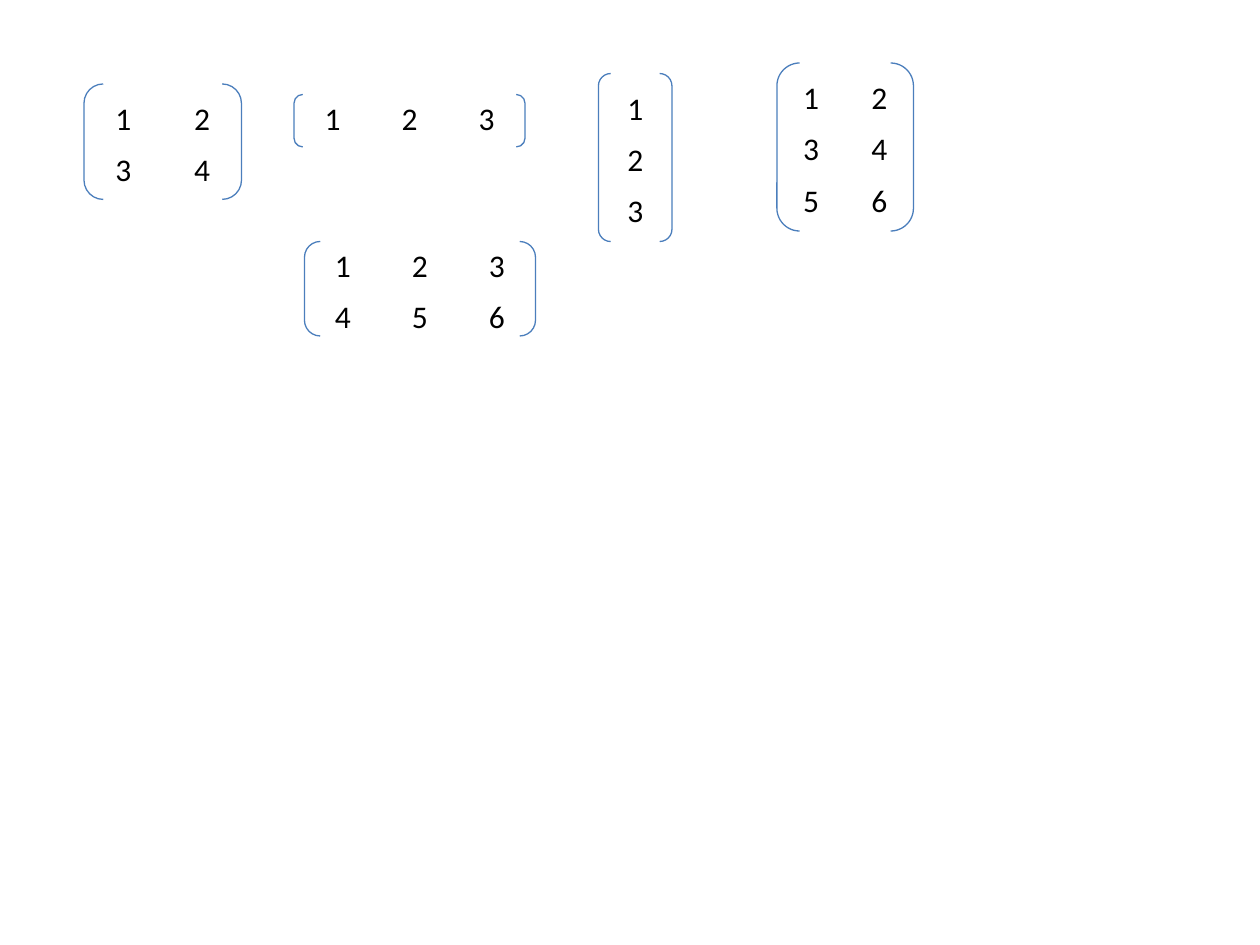
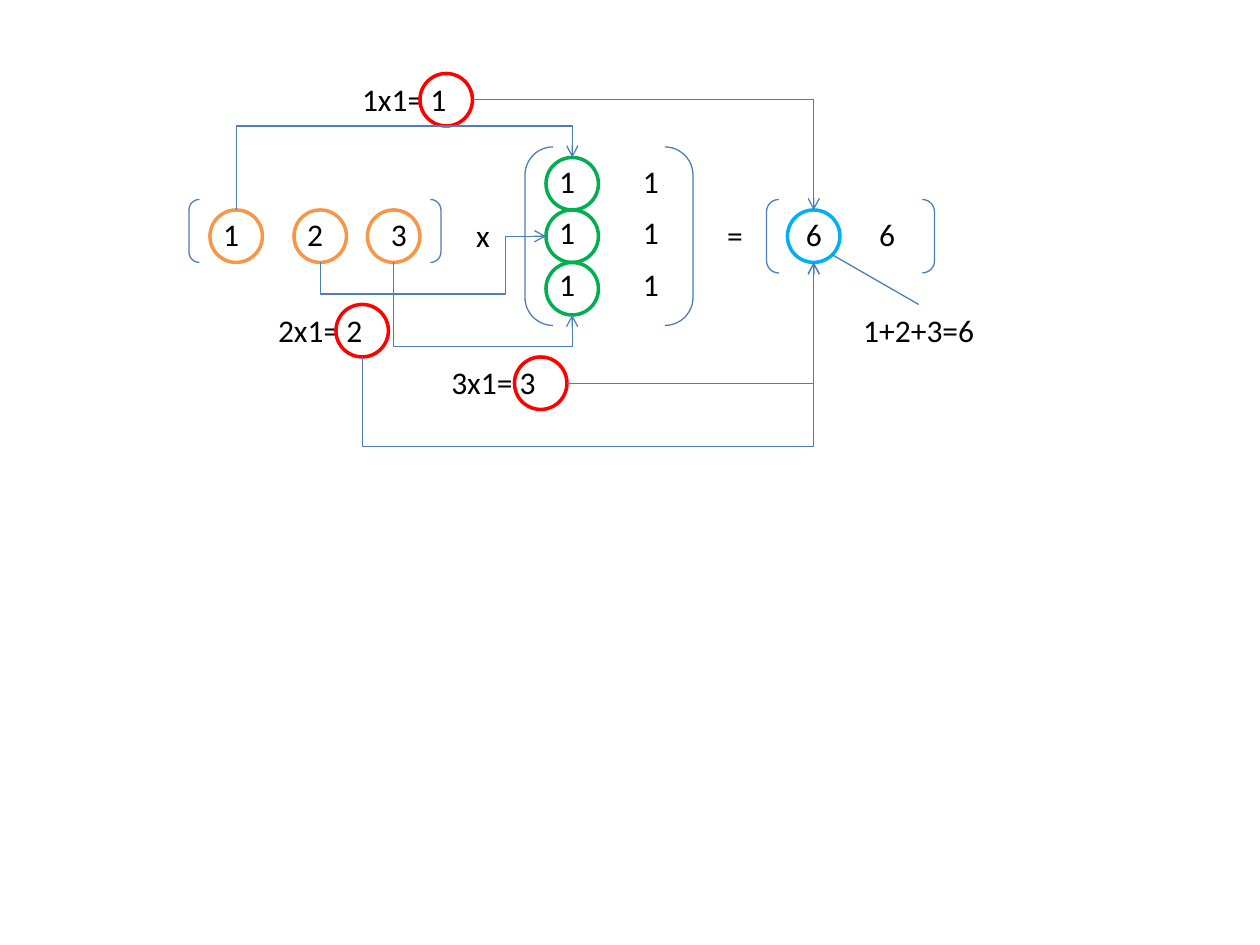
"""Build two slides that show matrices and the steps of a matrix product."""
import math
from dataclasses import dataclass
from typing import NamedTuple

import pptx
import pptx.dml.color
import pptx.enum.shapes
import pptx.enum.text
import pptx.oxml
import pptx.oxml.ns
import pptx.util

qn = pptx.oxml.ns.qn
SHAPES = pptx.enum.shapes.MSO_SHAPE
CONNECTORS = pptx.enum.shapes.MSO_CONNECTOR


@dataclass(frozen=True)
class Theme:
    font: str = "Calibri"
    text: str = "000000"
    line: str = "4B7EBC"
    factor_row: str = "F79646"
    factor_column: str = "00B050"
    product: str = "FF0000"
    total: str = "00B0F0"
    text_size: float = 18
    thin: float = 0.75
    thick: float = 2
    no_style: str = "{2D5ABB26-0587-4C30-8999-92F81FD0307C}"


class Box(NamedTuple):
    left: float
    top: float
    width: float
    height: float


class Matrix(NamedTuple):
    rows: tuple[str, ...]
    left: float
    top: float
    width: float
    bracket: Box


class Label(NamedTuple):
    text: str
    box: Box


class Ring(NamedTuple):
    name: str
    left: float
    top: float
    color: str


class Elbow(NamedTuple):
    start: str
    start_site: int
    end: str
    end_site: int
    preset: str
    rotation: int = 0
    flips: str = ""
    adjustments: tuple[float, ...] = ()


THEME = Theme()
ROW_HEIGHT = pptx.util.Cm(1.03)
RING_SIZE = 5
TOP, LEFT, BOTTOM, BOTTOM_RIGHT, RIGHT = 0, 2, 4, 5, 6

EXAMPLES = (
    Matrix(("12", "34"), 8, 9, 15, Box(8, 8, 15, 11)),
    Matrix(("123",), 28, 9, 22, Box(28, 9, 22, 5)),
    Matrix(("1", "2", "3"), 57, 8, 7, Box(57, 7, 7, 16)),
    Matrix(("123", "456"), 29, 23, 22, Box(29, 23, 22, 9)),
    Matrix(("12", "34", "56"), 74, 7, 13, Box(74, 6, 13, 16)),
)
PRODUCT = (
    Matrix(("11", "11", "11"), 50, 15, 16, Box(50, 14, 16, 17)),
    Matrix(("123",), 18, 20, 24, Box(18, 19, 24, 6)),
    Matrix(("66",), 74, 20, 14, Box(73, 19, 16, 7)),
)
LABELS = (
    Label("x", Box(43, 20, 6, 5)),
    Label("=", Box(67, 20, 6, 5)),
    Label("1x1= 1", Box(33, 7, 11, 4.8)),
    Label("2x1= 2", Box(25, 29, 11, 4.8)),
    Label("3x1= 3", Box(41, 34, 12, 5)),
)
SUM_LABEL = Label("1+2+3=6", Box(78, 29, 19, 4.8))
RINGS = (
    Ring("row 1", 20, 20, THEME.factor_row),
    Ring("row 2", 28, 20, THEME.factor_row),
    Ring("row 3", 35, 20, THEME.factor_row),
    *(Ring(f"column {i + 1}", 52, 15 + RING_SIZE * i, THEME.factor_column)
      for i in range(3)),
    Ring("product 1", 40, 7, THEME.product),
    Ring("product 2", 32, 29, THEME.product),
    Ring("product 3", 49, 34, THEME.product),
    Ring("total", 75, 20, THEME.total),
)
ELBOWS = (
    Elbow("row 2", BOTTOM, "column 2", LEFT, "bentConnector4", 90, "hv", (-1.2, 0.82)),
    Elbow("row 3", BOTTOM, "column 3", BOTTOM, "bentConnector3", 270, "h", (1.6,)),
    Elbow("row 1", TOP, "column 1", TOP, "bentConnector3", 90, "hv", (1.6,)),
    Elbow("product 1", RIGHT, "total", TOP, "bentConnector2"),
    Elbow("product 3", RIGHT, "total", BOTTOM, "bentConnector2", 0, "v"),
    Elbow("product 2", BOTTOM, "total", BOTTOM, "bentConnector3", 90, "hv", (-0.95,)),
)


def grid(n: float) -> int:
    """Return the length of n grid steps, twelve to the inch."""
    return pptx.util.Cm(n * 2.54 / 12)


def rgb(color: str) -> pptx.dml.color.RGBColor:
    """Return a colour object."""
    return pptx.dml.color.RGBColor.from_string(color)


def write(tf, text: str) -> None:
    """Put centred text in a text frame."""
    tf.text = text
    p = tf.paragraphs[0]
    p.alignment = pptx.enum.text.PP_ALIGN.CENTER
    for r in p.runs:
        r.font.name = THEME.font
        r.font.size = pptx.util.Pt(THEME.text_size)
        r.font.color.rgb = rgb(THEME.text)


def draw_outline(s, preset, box: Box, color: str, width: float):
    """Draw an unfilled preset shape."""
    sp = s.shapes.add_shape(preset, *map(grid, box))
    sp.shadow.inherit = False
    sp.fill.background()
    sp.line.color.rgb = rgb(color)
    sp.line.width = pptx.util.Pt(width)
    return sp


def draw_matrix(s, matrix: Matrix) -> None:
    """Draw a table of digits inside a pair of brackets."""
    rows, columns = len(matrix.rows), len(matrix.rows[0])
    frame = s.shapes.add_table(rows, columns, grid(matrix.left), grid(matrix.top),
                               grid(matrix.width), ROW_HEIGHT * rows)
    table = frame.table
    table.first_row = table.horz_banding = False
    next(frame.element.iter(qn("a:tableStyleId"))).text = THEME.no_style
    for i, digits in enumerate(matrix.rows):
        for j, digit in enumerate(digits):
            cell = table.cell(i, j)
            cell.fill.background()
            write(cell.text_frame, digit)
    draw_outline(s, SHAPES.DOUBLE_BRACKET, matrix.bracket, THEME.line, THEME.thin)


def draw_label(s, label: Label):
    """Draw a text box."""
    sp = s.shapes.add_textbox(*map(grid, label.box))
    tf = sp.text_frame
    tf.word_wrap = True
    tf.auto_size = pptx.enum.text.MSO_AUTO_SIZE.SHAPE_TO_FIT_TEXT
    write(tf, label.text)
    return sp


def draw_ring(s, ring: Ring):
    """Draw a circle around a digit."""
    box = Box(ring.left, ring.top, RING_SIZE, RING_SIZE)
    return draw_outline(s, SHAPES.OVAL, box, ring.color, THEME.thick)


def site_point(sp, site: int) -> tuple[int, int]:
    """Return a connection site of a circle, counted anticlockwise from the top."""
    angle, radius = math.radians(45 * site), sp.width / 2
    return (round(sp.left + radius * (1 - math.sin(angle))),
            round(sp.top + radius * (1 - math.cos(angle))))


def glue(c, tag: str, sp, site: int) -> None:
    """Join a connector end to a circle."""
    end = pptx.oxml.parse_xml(
        f'<a:{tag} {pptx.oxml.ns.nsdecls("a")} id="{sp.shape_id}" idx="{site}"/>')
    next(c.element.iter(qn("p:cNvCxnSpPr"))).append(end)


def draw_connector(s, kind, start: tuple[int, int], end: tuple[int, int]):
    """Draw a thin connector without a shadow."""
    c = s.shapes.add_connector(kind, *start, *end)
    c.line.color.rgb = rgb(THEME.line)
    c.line.width = pptx.util.Pt(THEME.thin)
    c.element.spPr.append(c.element.spPr.makeelement(qn("a:effectLst"), {}))
    return c


def draw_elbow(s, elbow: Elbow, rings: dict) -> None:
    """Draw a bent arrow between two circles."""
    first, last = rings[elbow.start], rings[elbow.end]
    start = site_point(first, elbow.start_site)
    end = site_point(last, elbow.end_site)
    c = draw_connector(s, CONNECTORS.ELBOW, start, end)
    width, height = abs(end[0] - start[0]), abs(end[1] - start[1])
    if elbow.rotation:
        width, height = height, width
    c.left = (start[0] + end[0] - width) // 2
    c.top = (start[1] + end[1] - height) // 2
    c.width, c.height = width, height
    sp_pr = c.element.spPr
    xfrm = sp_pr.find(qn("a:xfrm"))
    xfrm.set("rot", str(elbow.rotation * 60000))
    for axis in "hv":
        xfrm.set(f"flip{axis.upper()}", str(int(axis in elbow.flips)))
    geometry = sp_pr.find(qn("a:prstGeom"))
    geometry.set("prst", elbow.preset)
    for i, value in enumerate(elbow.adjustments, 1):
        guide = {"name": f"adj{i}", "fmla": f"val {round(value * 100000)}"}
        values = geometry.find(qn("a:avLst"))
        values.append(values.makeelement(qn("a:gd"), guide))
    ln = sp_pr.find(qn("a:ln"))
    ln.append(ln.makeelement(qn("a:tailEnd"), {"type": "arrow"}))
    glue(c, "stCxn", first, elbow.start_site)
    glue(c, "endCxn", last, elbow.end_site)


def draw_examples(s) -> None:
    """Draw matrices of several sizes."""
    for matrix in EXAMPLES:
        draw_matrix(s, matrix)


def draw_product(s) -> None:
    """Draw how the first value of a product is found."""
    for matrix in PRODUCT:
        draw_matrix(s, matrix)
    for label in LABELS:
        draw_label(s, label)
    rings = {ring.name: draw_ring(s, ring) for ring in RINGS}
    for elbow in ELBOWS:
        draw_elbow(s, elbow, rings)
    sum_box = draw_label(s, SUM_LABEL)
    start = site_point(rings["total"], BOTTOM_RIGHT)
    c = draw_connector(s, CONNECTORS.STRAIGHT, start, (sum_box.left, sum_box.top))
    glue(c, "stCxn", rings["total"], BOTTOM_RIGHT)
    c.end_connect(sum_box, 0)


def main() -> None:
    """Build and save the presentation."""
    prs = pptx.Presentation()
    prs.slide_width, prs.slide_height = pptx.util.Cm(25.4), pptx.util.Cm(19.05)
    for draw in (draw_examples, draw_product):
        draw(prs.slides.add_slide(prs.slide_layouts[6]))
    prs.save("out.pptx")


if __name__ == "__main__":
    main()
